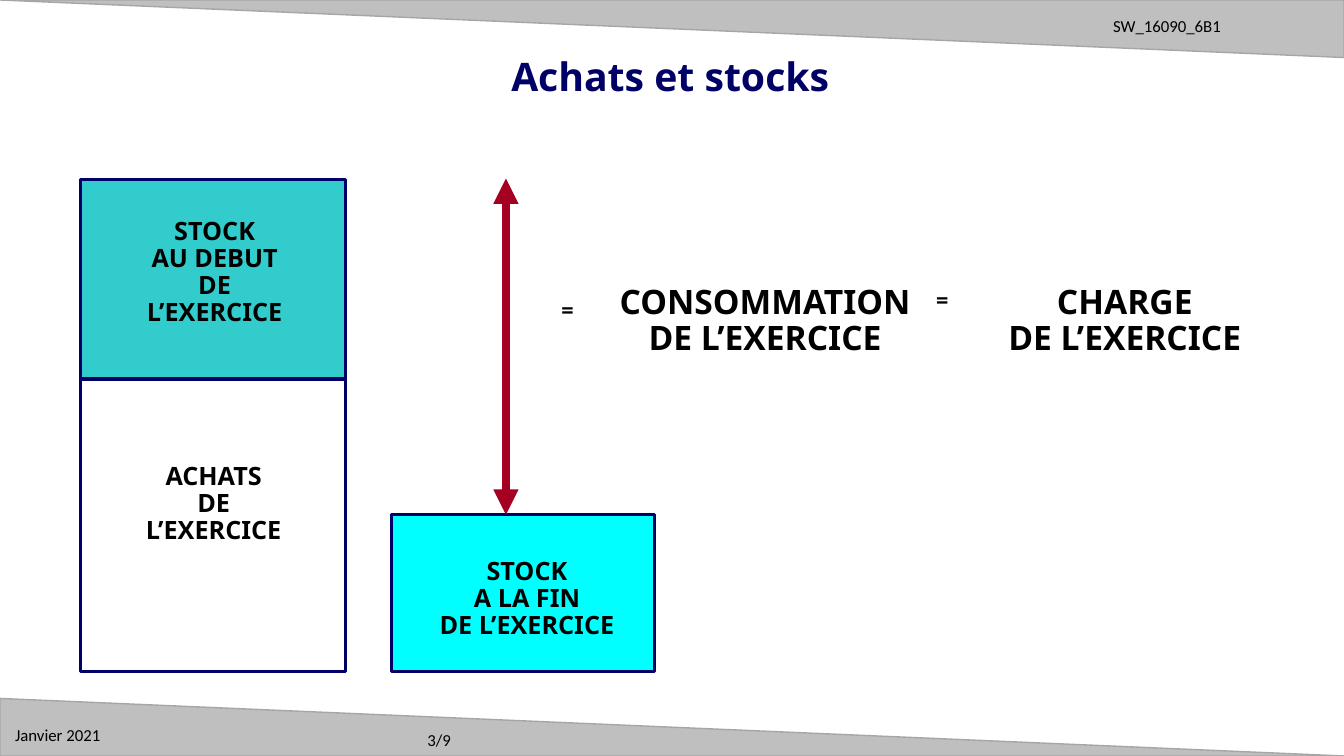
from dataclasses import dataclass

from lxml import etree
from pptx import Presentation
from pptx.dml.color import RGBColor
from pptx.enum.shapes import MSO_CONNECTOR, MSO_SHAPE
from pptx.enum.text import MSO_ANCHOR, PP_ALIGN
from pptx.oxml.ns import qn
from pptx.util import Cm, Pt

RECT = MSO_SHAPE.RECTANGLE
WEDGE = MSO_SHAPE.ISOSCELES_TRIANGLE
LINE = MSO_CONNECTOR.STRAIGHT
MIDDLE = MSO_ANCHOR.MIDDLE
CENTER, LEFT = PP_ALIGN.CENTER, PP_ALIGN.LEFT


@dataclass(frozen=True)
class Theme:
    navy: str = "000066"
    black: str = "000000"
    white: str = "FFFFFF"
    teal: str = "33CCCC"
    cyan: str = "00FFFF"
    red: str = "A50021"
    gray: str = "BFBFBF"
    edge: str = "A6A6A6"
    main: str = "Noto Sans"
    small: str = "Calibri"
    title: float = 28
    big: float = 24
    body: float = 18
    sign: float = 15.4
    note: float = 12
    tight: float = 0.89


T = Theme()
WIDE, HIGH = 33.87, 19.05
BAND = 1.45


def apply(obj, values):
    for name, value in values.items():
        setattr(obj, name, value)


def add_shape(slide, kind, box, fill, edge, width):
    shape = slide.shapes.add_shape(kind, *map(Cm, box))
    shape.shadow.inherit = False
    shape.fill.solid()
    shape.fill.fore_color.rgb = RGBColor.from_string(fill)
    shape.line.color.rgb = RGBColor.from_string(edge)
    shape.line.width = Pt(width)
    return shape


def add_band(slide, top, turn):
    band = add_shape(slide, WEDGE, (0, top, WIDE, BAND), T.gray, T.edge, 1)
    band.adjustments[0] = 0
    band.rotation = turn


def add_text(slide, box, lines, size, font, color=T.black, bold=False,
             align=LEFT, space=1.0):
    frame = slide.shapes.add_textbox(*map(Cm, box)).text_frame
    apply(frame, {"word_wrap": align == LEFT, "vertical_anchor": MIDDLE})
    for i, line in enumerate(lines):
        para = frame.paragraphs[0] if i == 0 else frame.add_paragraph()
        apply(para, {"alignment": align, "line_spacing": space})
        run = para.add_run()
        run.text = line
        apply(run.font, {"name": font, "size": Pt(size), "bold": bold})
        run.font.color.rgb = RGBColor.from_string(color)


def add_head(slide, box, lines, size, color=T.black):
    """Bold centred text, lowered to offset its tight line spacing."""
    x, y, w, h = box
    add_text(slide, (x, y + 0.003 * size, w, h), lines, size, T.main, color,
             True, CENTER, T.tight)


def add_arrow(slide, x, low, high):
    arrow = slide.shapes.add_connector(LINE, Cm(x), Cm(low), Cm(x), Cm(high))
    arrow.line.color.rgb = RGBColor.from_string(T.red)
    arrow.line.width = Pt(6)
    line = arrow.line._get_or_add_ln()
    for end in ("a:headEnd", "a:tailEnd"):
        etree.SubElement(line, qn(end), type="triangle")
    etree.SubElement(line.getparent(), qn("a:effectLst"))


def main():
    deck = Presentation()
    apply(deck, {"slide_width": Cm(WIDE), "slide_height": Cm(HIGH)})
    slide = deck.slides.add_slide(deck.slide_layouts[6])

    add_band(slide, 0, 180)
    add_band(slide, HIGH - BAND, 0)
    for box, note in (
        ((10.52, 18.26, 2, 0.76), "3/9"),
        ((27.8, 0.28, 5, 0.76), "SW_16090_6B1"),
        ((0.13, 18.14, 3.5, 0.76), "Janvier 2021"),
    ):
        add_text(slide, box, [note], T.note, T.small)
    add_head(slide, (5.46, 1.19, 22.86, BAND), ["Achats et stocks"],
             T.title, T.navy)

    for box, fill, area, lines in (
        ((2.03, 9.55, 6.68, 7.37), T.white, (3.15, 11.38, 4.47, 2.57),
         ["ACHATS", "DE", "L’EXERCICE"]),
        ((2.03, 4.52, 6.68, 5.03), T.teal, (3.25, 5.16, 4.32, 3.33),
         ["STOCK", "AU DEBUT", "DE", "L’EXERCICE"]),
        ((9.86, 12.97, 6.63, 3.95), T.cyan, (10.59, 13.77, 5.38, 2.57),
         ["STOCK", "A LA FIN", "DE L’EXERCICE"]),
    ):
        add_shape(slide, RECT, box, fill, T.navy, 2.25)
        add_head(slide, area, lines, T.body)

    add_arrow(slide, 12.75, 12.97, 4.5)
    for box, lines, size in (
        ((15.29, 6.88, 7.98, 2.31), ["CONSOMMATION", "DE L’EXERCICE"], T.big),
        ((24.84, 6.88, 7.01, 2.31), ["CHARGE", "DE L’EXERCICE"], T.big),
        ((22.53, 7.11, 2.44, 0.91), ["="], T.sign),
        ((13.82, 7.34, 0.97, 0.91), ["="], T.sign),
    ):
        add_head(slide, box, lines, size)

    deck.save("out.pptx")


if __name__ == "__main__":
    main()
